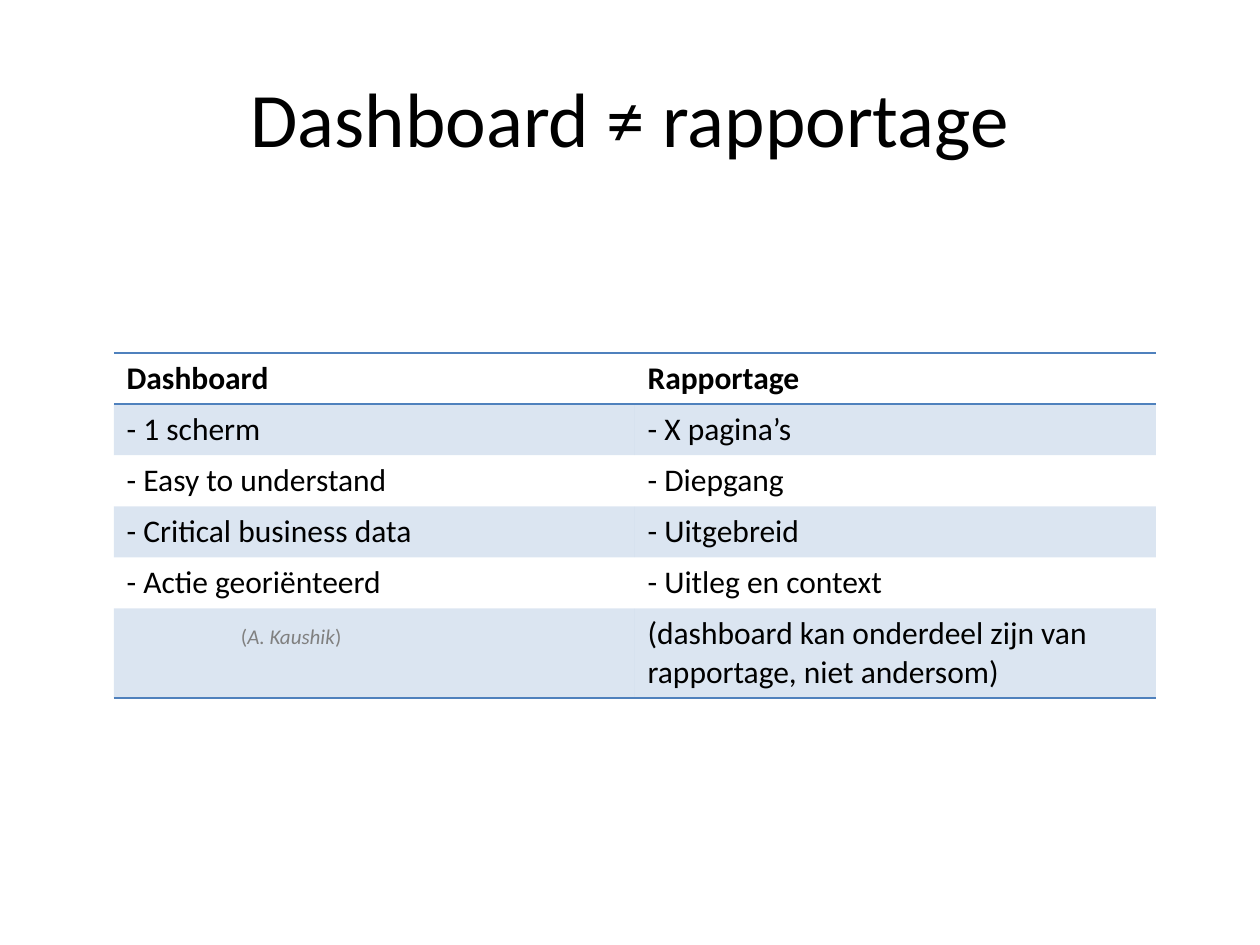
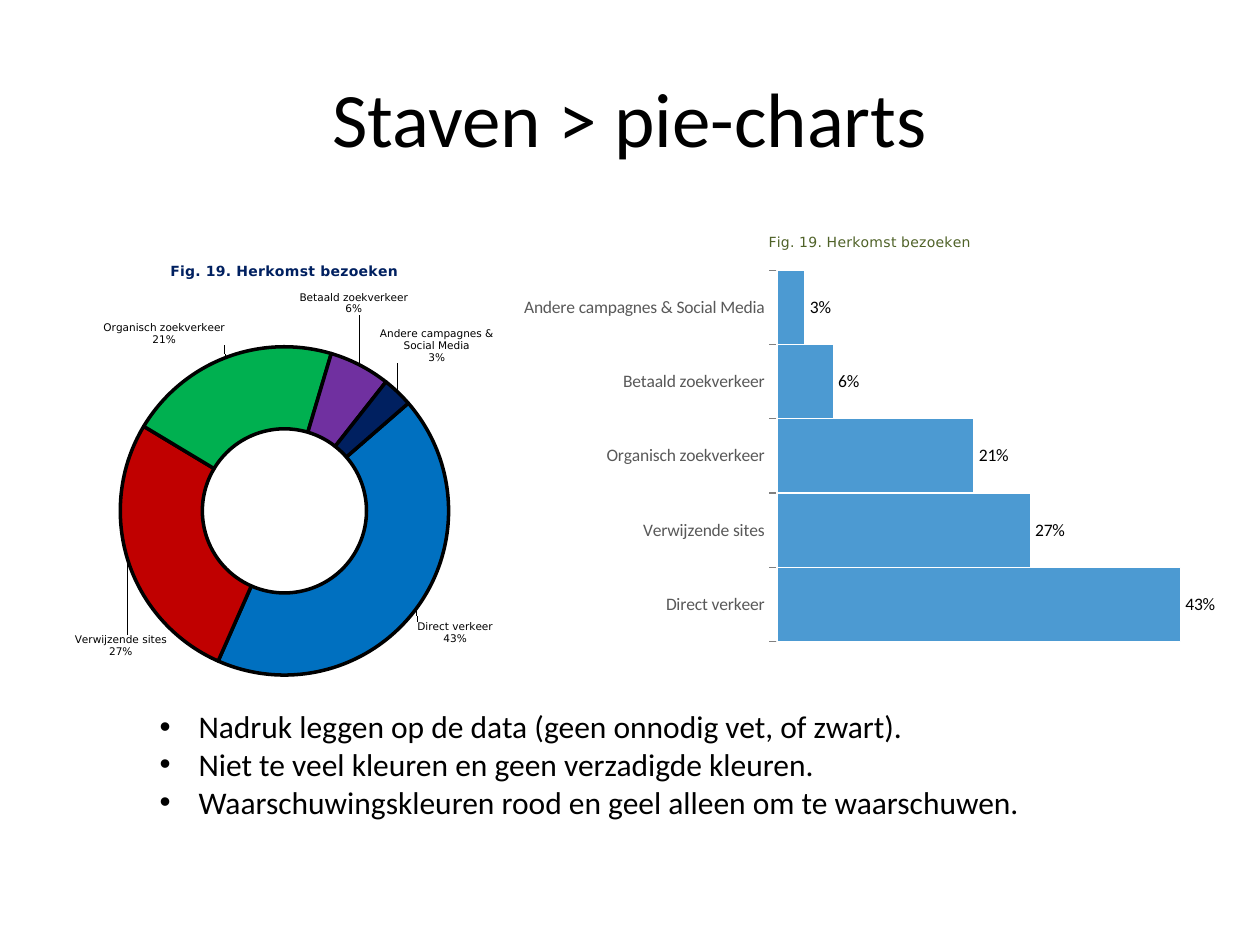
from copy import deepcopy
from dataclasses import dataclass

from pptx import Presentation
from pptx.chart.chart import Chart
from pptx.chart.data import CategoryChartData
from pptx.dml.color import RGBColor
from pptx.enum.chart import XL_CHART_TYPE, XL_LABEL_POSITION, XL_TICK_MARK
from pptx.enum.text import MSO_ANCHOR, MSO_AUTO_SIZE, PP_ALIGN
from pptx.oxml import parse_xml
from pptx.oxml.ns import nsdecls
from pptx.slide import Slide
from pptx.util import Emu, Pt

BAR = XL_CHART_TYPE.BAR_CLUSTERED
DOUGHNUT = XL_CHART_TYPE.DOUGHNUT
OUTSIDE_END = XL_LABEL_POSITION.OUTSIDE_END
TICK_OUTSIDE = XL_TICK_MARK.OUTSIDE
TICK_NONE = XL_TICK_MARK.NONE
MIDDLE = MSO_ANCHOR.MIDDLE
GROW = MSO_AUTO_SIZE.SHAPE_TO_FIT_TEXT
CENTER = PP_ALIGN.CENTER

PX_PER_INCH = 126
LAYOUT_TITLE_BODY, LAYOUT_TITLE_ONLY = 1, 5
TEXT_FONT, CAPTION_FONT = "Calibri", "DejaVu Sans"
NO_TABLE_STYLE = "{2D5ABB26-0587-4C30-8999-92F81FD0307C}"

BLACK = RGBColor(0x00, 0x00, 0x00)
WHITE = RGBColor(0xFF, 0xFF, 0xFF)
GREY = RGBColor(0x80, 0x80, 0x80)
DARK_GREY = RGBColor(0x59, 0x59, 0x59)
TABLE_BLUE = RGBColor(0x4F, 0x81, 0xBD)
BLUE = RGBColor(0x00, 0x70, 0xC0)
RED = RGBColor(0xC0, 0x00, 0x00)
GREEN = RGBColor(0x00, 0xB0, 0x50)
PURPLE = RGBColor(0x70, 0x30, 0xA0)
NAVY = RGBColor(0x00, 0x20, 0x60)
OLIVE = RGBColor(0x4F, 0x62, 0x28)


@dataclass(frozen=True)
class Box:
    left: int
    top: int
    width: int
    height: int

    def emu(self) -> tuple[Emu, ...]:
        return tuple(px(n) for n in (self.left, self.top, self.width, self.height))


@dataclass(frozen=True)
class Style:
    size: int = 18
    color: RGBColor = BLACK
    font: str = TEXT_FONT
    bold: bool = False
    italic: bool = False


@dataclass(frozen=True)
class Source:
    """One origin of visits, with its slice colour and label offset."""
    name: str
    share: float
    color: RGBColor
    shift: tuple[float, float]


@dataclass(frozen=True)
class ChartPlan:
    kind: int
    box: Box
    caption: Style
    plot: tuple[float, float, float, float]


TITLE_BOX = Box(63, 38, 1134, 158)
TABLE_BOX = Box(114, 353, 1042, 344)
ADVICE_BOX = Box(147, 701, 1012, 127)
ROW_HEIGHT = 51
BULLET_INDENT = 39
TITLE, BODY, HEADER = Style(44), Style(), Style(bold=True)
CREDIT, CREDIT_NAME = Style(12, GREY), Style(12, GREY, italic=True)

COMPARISON = [
    ("Dashboard", "Rapportage"),
    ("- 1 scherm", "- X pagina’s"),
    ("- Easy to understand", "- Diepgang"),
    ("- Critical business data", "- Uitgebreid"),
    ("- Actie georiënteerd", "- Uitleg en context"),
    ("", "(dashboard kan onderdeel zijn van rapportage, niet andersom)"),
]
CREDIT_RUNS = [("(", CREDIT), ("A. Kaushik", CREDIT_NAME), (")", CREDIT)]

CAPTION = "Fig. 19. Herkomst bezoeken"
SOURCES = [
    Source("Direct verkeer", 0.43, BLUE, (0.17, 0.11)),
    Source("Verwijzende sites", 0.27, RED, (-0.11, 0.22)),
    Source("Organisch zoekverkeer", 0.21, GREEN, (-0.18, -0.14)),
    Source("Betaald zoekverkeer", 0.06, PURPLE, (0.03, -0.22)),
    Source("Andere campagnes & Social Media", 0.03, NAVY, (0.16, -0.17)),
]
BAR_PLAN = ChartPlan(BAR, Box(512, 214, 716, 470),
                     Style(8, OLIVE, CAPTION_FONT), (0.37, 0.12, 0.59, 0.79))
DOUGHNUT_PLAN = ChartPlan(DOUGHNUT, Box(74, 244, 421, 445),
                          Style(8, NAVY, CAPTION_FONT, bold=True), (0.11, 0.23, 0.78, 0.74))
ADVICE = [
    "Nadruk leggen op de data (geen onnodig vet, of zwart).",
    "Niet te veel kleuren en geen verzadigde kleuren.",
    "Waarschuwingskleuren rood en geel alleen om te waarschuwen.",
]


def px(n: int) -> Emu:
    return Emu(round(n * 914400 / PX_PER_INCH))


def apply_font(font, style: Style) -> None:
    font.name, font.size = style.font, Pt(style.size)
    font.bold, font.italic = style.bold, style.italic
    font.color.rgb = style.color


def add_run(paragraph, text: str, style: Style) -> None:
    run = paragraph.add_run()
    run.text = text
    apply_font(run.font, style)


def place(shape, box: Box) -> None:
    shape.left, shape.top, shape.width, shape.height = box.emu()


def set_opacity(element, color_path: str, percent: int) -> None:
    for color in element.xpath(color_path):
        color.append(parse_xml(f'<a:alpha {nsdecls("a")} val="{percent * 1000}"/>'))


def manual_layout(**values) -> object:
    settings = "".join(f'<c:{key} val="{value}"/>' for key, value in values.items())
    return parse_xml(f'<c:layout {nsdecls("c")}><c:manualLayout>{settings}'
                     '</c:manualLayout></c:layout>')


def add_titled_slide(prs, layout: int, title: str) -> Slide:
    slide = prs.slides.add_slide(prs.slide_layouts[layout])
    place(slide.shapes.title, TITLE_BOX)
    frame = slide.shapes.title.text_frame
    frame.vertical_anchor = MIDDLE
    frame.paragraphs[0].alignment = CENTER
    add_run(frame.paragraphs[0], title, TITLE)
    return slide


def add_row_rule(row, *sides: str) -> None:
    """Draw a blue 1 pt line on the named sides (T, B) of a table row."""
    for properties in row.xpath("./a:tc/a:tcPr"):
        for position, side in enumerate(sides):
            properties.insert(position, parse_xml(
                f'<a:ln{side} {nsdecls("a")} w="{Pt(1)}"><a:solidFill>'
                f'<a:srgbClr val="{TABLE_BLUE}"/></a:solidFill></a:ln{side}>'))


def add_comparison(slide: Slide) -> None:
    rows, columns = len(COMPARISON), len(COMPARISON[0])
    frame = slide.shapes.add_table(rows, columns, *TABLE_BOX.emu())
    table = frame.table
    frame.element.xpath(".//a:tableStyleId")[0].text = NO_TABLE_STYLE
    for column in table.columns:
        column.width = px(TABLE_BOX.width // columns)
    for r, texts in enumerate(COMPARISON):
        last = r == rows - 1
        table.rows[r].height = px(TABLE_BOX.height - r * ROW_HEIGHT if last else ROW_HEIGHT)
        for c, text in enumerate(texts):
            cell = table.cell(r, c)
            if r % 2:
                cell.fill.solid()
                cell.fill.fore_color.rgb = TABLE_BLUE
            else:
                cell.fill.background()
            if text:
                add_run(cell.text_frame.paragraphs[0], text, BODY if r else HEADER)
    credit = table.cell(rows - 1, 0)
    credit.margin_left, credit.margin_top = px(127), px(16)
    for text, style in CREDIT_RUNS:
        add_run(credit.text_frame.paragraphs[0], text, style)
    set_opacity(frame.element, ".//a:tcPr/a:solidFill/a:srgbClr", 20)
    table_rows = frame.element.xpath(".//a:tr")
    add_row_rule(table_rows[0], "T", "B")
    add_row_rule(table_rows[-1], "B")


def add_visits_chart(slide: Slide, plan: ChartPlan) -> Chart:
    data = CategoryChartData(number_format="0%")
    data.categories = [source.name for source in SOURCES]
    data.add_series("Series 1", [source.share for source in SOURCES])
    chart = slide.shapes.add_chart(plan.kind, *plan.box.emu(), data).chart
    apply_font(chart.font, Style(10))
    chart.has_legend = False
    chart.has_title = True
    add_run(chart.chart_title.text_frame.paragraphs[0], CAPTION, plan.caption)
    plot_area = chart.element.xpath(".//c:plotArea")[0]
    for layout in plot_area.xpath("./c:layout"):
        plot_area.remove(layout)
    x, y, w, h = plan.plot
    plot_area.insert(0, manual_layout(layoutTarget="inner", xMode="edge", yMode="edge",
                                      x=x, y=y, w=w, h=h))
    labels = chart.plots[0].series[0].data_labels
    labels.show_value = True
    labels.number_format, labels.number_format_is_linked = "0%", False
    return chart


def paint(shape_format, fill: RGBColor, line: RGBColor, width: float) -> None:
    shape_format.fill.solid()
    shape_format.fill.fore_color.rgb = fill
    shape_format.line.color.rgb = line
    shape_format.line.width = Pt(width)


def add_bars(slide: Slide) -> None:
    chart = add_visits_chart(slide, BAR_PLAN)
    plot = chart.plots[0]
    plot.gap_width, plot.vary_by_categories = 0, False
    shares = plot.series[0]
    paint(shares.format, BLUE, WHITE, 0.75)
    set_opacity(chart.element, ".//c:ser/c:spPr/a:solidFill/a:srgbClr", 70)
    shares.data_labels.position = OUTSIDE_END
    names, scale = chart.category_axis, chart.value_axis
    apply_font(names.tick_labels.font, Style(10, DARK_GREY))
    names.major_tick_mark, names.minor_tick_mark = TICK_OUTSIDE, TICK_NONE
    names.format.line.color.rgb = GREY
    scale.minimum_scale, scale.maximum_scale = 0, 0.45
    scale.has_major_gridlines = False
    scale.visible = False


def add_doughnut(slide: Slide) -> None:
    chart = add_visits_chart(slide, DOUGHNUT_PLAN)
    chart.plots[0].vary_by_categories = True
    chart.element.xpath(".//c:firstSliceAng")[0].set("val", "49")
    shares = chart.plots[0].series[0]
    for index, source in enumerate(SOURCES):
        paint(shares.points[index].format, source.color, BLACK, 2)
    shares.data_labels.show_category_name = True
    apply_font(shares.data_labels.font, Style(6, font=CAPTION_FONT))
    place_slice_labels(chart)


def place_slice_labels(chart: Chart) -> None:
    """Put name and share on two lines, and move each label clear of the ring."""
    labels = chart.element.xpath(".//c:ser/c:dLbls")[0]
    separator = parse_xml(f'<c:separator {nsdecls("c")}>\n</c:separator>')
    labels.xpath("./c:showBubbleSize")[0].addnext(separator)
    shared = labels.xpath("./*[not(self::c:showLeaderLines)]")
    for index, source in enumerate(SOURCES):
        label = parse_xml(f'<c:dLbl {nsdecls("c")}><c:idx val="{index}"/></c:dLbl>')
        x, y = source.shift
        label.append(manual_layout(x=x, y=y))
        for setting in shared:
            label.append(deepcopy(setting))
        labels.insert(index, label)


def add_advice(slide: Slide) -> None:
    advice = slide.placeholders[1]
    place(advice, ADVICE_BOX)
    frame = advice.text_frame
    frame.auto_size = GROW
    for index, text in enumerate(ADVICE):
        paragraph = frame.add_paragraph() if index else frame.paragraphs[0]
        paragraph.space_before = Pt(0)
        add_run(paragraph, text, BODY)
    for properties in advice.element.xpath(".//a:pPr"):
        properties.set("marL", str(px(BULLET_INDENT)))
        properties.set("indent", str(-px(BULLET_INDENT)))


def main() -> None:
    prs = Presentation()
    prs.slide_width, prs.slide_height = px(1260), px(945)
    add_comparison(add_titled_slide(prs, LAYOUT_TITLE_ONLY, "Dashboard ≠ rapportage"))
    charts = add_titled_slide(prs, LAYOUT_TITLE_BODY, "Staven > pie-charts")
    add_bars(charts)
    add_doughnut(charts)
    add_advice(charts)
    prs.save("out.pptx")


if __name__ == "__main__":
    main()
